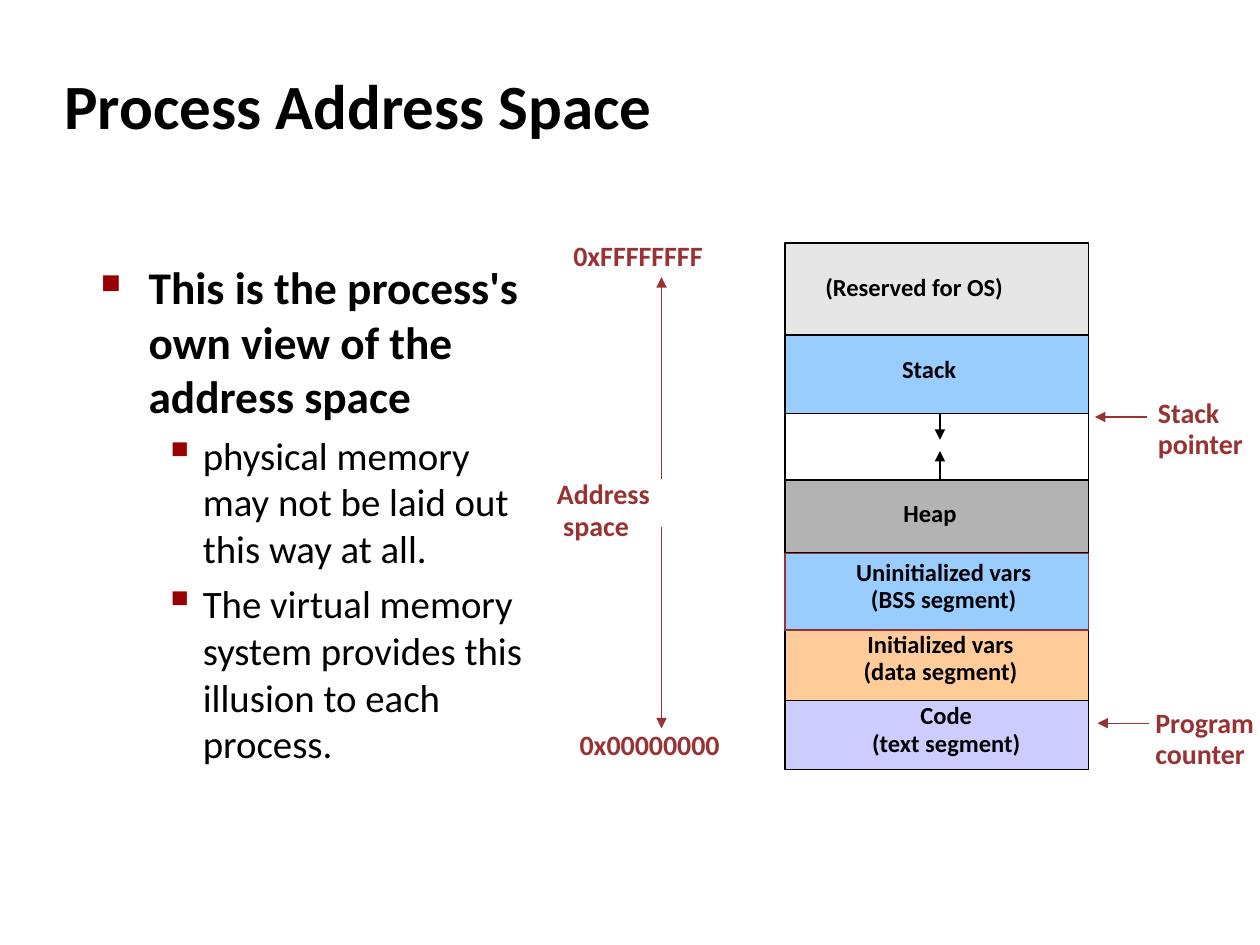
from pptx import Presentation
from pptx.dml.color import RGBColor
from pptx.enum.shapes import MSO_CONNECTOR, MSO_SHAPE
from pptx.enum.text import MSO_ANCHOR, PP_ALIGN
from pptx.oxml.ns import qn
from pptx.util import Inches, Pt
from lxml.etree import SubElement

BLACK, RED, BLUE = "000000", "993333", "99CCFF"


def tint(code):
    return RGBColor.from_string(code)


class Deck:
    font = "Calibri"
    cols, rows = 100, 75

    def __init__(self):
        self.show = Presentation()
        self.show.slide_width, self.show.slide_height = Inches(10), Inches(7.5)
        self.cell = self.show.slide_width // self.cols

    def add(self):
        self.slide = self.show.slides.add_slide(self.show.slide_layouts[6])

    def grid(self, *spans):
        return [round(span * self.cell) for span in spans]

    def style(self, para, size, color=BLACK, bold=True):
        for run in para.runs:
            face = run.font
            face.name, face.size, face.bold = self.font, Pt(size), bold
            face.color.rgb = tint(color)

    def frame(self, *spot):
        frame = self.slide.shapes.add_textbox(*self.grid(*spot)).text_frame
        frame.word_wrap = True
        frame.margin_left = frame.margin_right = 0
        frame.margin_top = frame.margin_bottom = 0
        return frame

    def title(self, text, *spot):
        frame = self.frame(*spot)
        frame.vertical_anchor = MSO_ANCHOR.MIDDLE
        frame.text = text
        self.style(frame.paragraphs[0], 36)

    def label(self, text, spot, size=14, color=BLACK, align=PP_ALIGN.LEFT, inset=0):
        frame = self.frame(*spot)
        frame.text = text
        for para in frame.paragraphs:
            para.alignment = align
            para.line_spacing = 0.93
            self.style(para, size, color)
        if inset:
            props = frame.paragraphs[-1]._p.get_or_add_pPr()
            props.set("marL", str(self.grid(inset)[0]))

    def bullets(self, items, *spot):
        frame = self.frame(*spot)
        looks = [(3.8, 3.8, "■", 60, 25.9, True), (8.1, 3.1, "▪", 110, 22.2, False)]
        for i, (level, text) in enumerate(items):
            left, hang, mark, scale, size, bold = looks[level]
            para = frame.add_paragraph() if i else frame.paragraphs[0]
            para.text = text
            para.level = level
            if i:
                para.space_before = Pt(5)
            props = para._p.get_or_add_pPr()
            props.set("marL", str(self.grid(left)[0]))
            props.set("indent", str(self.grid(-hang)[0]))
            color = SubElement(props, qn("a:buClr"))
            SubElement(color, qn("a:srgbClr"), val="990000")
            SubElement(props, qn("a:buSzPct"), val=str(scale * 1000))
            SubElement(props, qn("a:buChar"), char=mark)
            self.style(para, size, BLACK, bold)

    def box(self, spot, fill=None, line=BLACK):
        shape = self.slide.shapes.add_shape(MSO_SHAPE.RECTANGLE, *self.grid(*spot))
        shape.shadow.inherit = False
        if fill:
            shape.fill.solid()
            shape.fill.fore_color.rgb = tint(fill)
        else:
            shape.fill.background()
        shape.line.color.rgb = tint(line)
        shape.line.width = Pt(0.75)

    def arrow(self, ends, color=RED):
        link = self.slide.shapes.add_connector(MSO_CONNECTOR.STRAIGHT, *self.grid(*ends))
        link.line.color.rgb = tint(color)
        link.line.width = Pt(0.75)
        SubElement(link.line._get_or_add_ln(), qn("a:tailEnd"), type="triangle")
        SubElement(link._element.spPr, qn("a:effectLst"))


def main():
    deck = Deck()
    deck.add()
    deck.title("Process Address Space", 5.1, 4.1, 81, 8.3)
    deck.bullets([
        (0, "This is the process's own view of the address space"),
        (1, "physical memory may not be laid out this way at all."),
        (1, "The virtual memory system provides this illusion to each process."),
    ], 8, 20.6, 34.3, 39.4)

    left, top, wide = 62.3, 19.3, 24.1
    parts = [(7.3, "E6E6E6", BLACK), (6.2, BLUE, BLACK), (5.3, None, BLACK),
             (5.8, "B3B3B3", BLACK), (6.1, BLUE, RED),
             (5.6, "FFCC99", BLACK), (5.5, "CCCCFF", BLACK)]
    deck.box((left, top, wide, sum(part[0] for part in parts)))
    stack = []
    for tall, fill, line in parts:
        if fill:
            stack.append(((left, top, wide, tall), fill, line))
        top += tall
    for part in sorted(stack, key=lambda part: part[2] == RED):
        deck.box(*part)

    for text, spot in [("(Reserved for OS)", (65.5, 21.8, 19, 2.6)),
                       ("Stack", (71.6, 28.3, 5.9, 2.6)),
                       ("Heap", (71.7, 39.7, 5.8, 2.6))]:
        deck.label(text, spot)
    for text, spot in [("Uninitialized vars\n(BSS segment)", (65.3, 44.4, 19.2, 5.3)),
                       ("Initialized vars\n(data segment)", (66.5, 50.1, 16.3, 5.3)),
                       ("Code\n(text segment)", (67.2, 55.8, 15.8, 5.3))]:
        deck.label(text, spot, align=PP_ALIGN.CENTER)
    for text, spot, inset in [("0xFFFFFFFF", (45.5, 19.2, 14.4, 2.6), 0),
                              ("Address\nspace", (44.2, 38.1, 16.1, 5), 0.5),
                              ("0x00000000", (46, 58, 13.6, 2.6), 0),
                              ("Stack\npointer", (91.9, 31.6, 8.1, 5), 0),
                              ("Program\ncounter", (91.7, 56.2, 8.3, 5), 0)]:
        deck.label(text, spot, 16, RED, inset=inset)

    for ends in [(52.5, 38, 52.5, 22), (52.5, 41.8, 52.5, 57.8),
                 (91, 33.1, 86.9, 33.1), (91.2, 57.4, 87.1, 57.4)]:
        deck.arrow(ends)
    for ends in [(74.6, 32.8, 74.6, 34.9), (74.6, 38.1, 74.6, 35.8)]:
        deck.arrow(ends, BLACK)

    deck.show.save("out.pptx")


if __name__ == "__main__":
    main()
